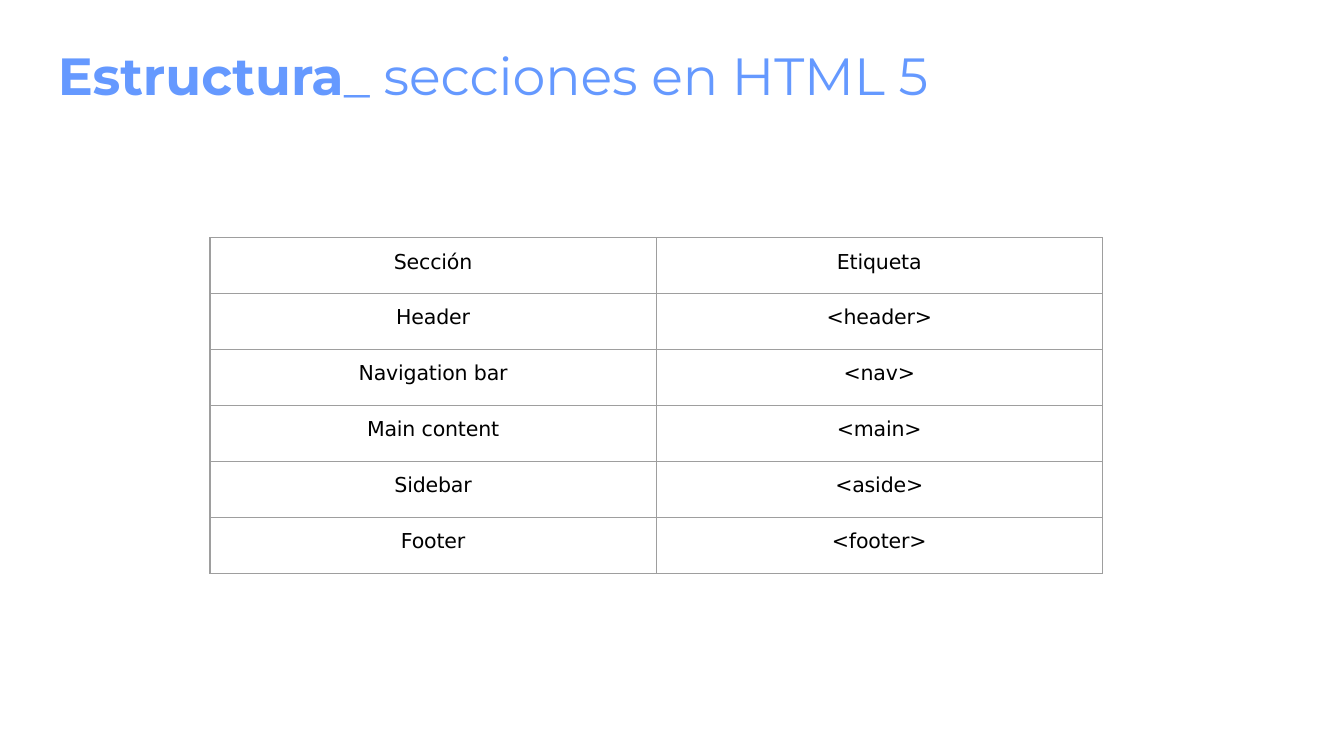
from dataclasses import dataclass

from lxml.etree import SubElement
from pptx import Presentation
from pptx.dml.color import RGBColor as Color
from pptx.enum.text import MSO_ANCHOR as Anchor, MSO_AUTO_SIZE as AutoSize, PP_ALIGN as Align
from pptx.oxml.ns import qn
from pptx.util import Inches, Pt


@dataclass(frozen=True)
class Theme:
    accent: str = "6599FF"
    ink: str = "000000"
    border: str = "9E9E9E"
    paper: str = "FFFFFF"
    heading_font: str = "Montserrat"
    table_font: str = "DejaVu Sans"
    heading_size: float = 28
    table_size: float = 11
    border_width: float = 0.75


def add_text(paragraph, text, *, font, size, color, bold=False, tracking=0):
    run = paragraph.add_run()
    run.text = text
    run.font.name = font
    run.font.size = Pt(size)
    run.font.bold = bold
    run.font.color.rgb = Color.from_string(color)
    if tracking:
        run.font._element.set("spc", str(round(tracking * 100)))


class SectionSlide:
    def __init__(self, deck, theme):
        self.theme = theme
        self.width, self.height = deck.slide_width, deck.slide_height
        self.slide = deck.slides.add_slide(deck.slide_layouts[5])
        background = self.slide.background.fill
        background.solid()
        background.fore_color.rgb = Color.from_string(theme.paper)

    def area(self, left, top, width, height):
        across, down = self.width / 100, self.height / 100
        return round(left * across), round(top * down), round(width * across), round(height * down)

    def heading(self, strong, light, area):
        title = self.slide.shapes.title
        title.left, title.top, title.width, title.height = self.area(*area)
        frame = title.text_frame
        frame.margin_left = frame.margin_top = Inches(0.01)
        frame.margin_right = frame.margin_bottom = 0
        frame.vertical_anchor = Anchor.TOP
        frame.word_wrap = True
        frame.auto_size = AutoSize.SHAPE_TO_FIT_TEXT
        line = frame.paragraphs[0]
        line.alignment = Align.LEFT
        line.space_before = Pt(1)
        for text, bold in ((strong, True), (light, False)):
            add_text(line, text, font=self.theme.heading_font, size=self.theme.heading_size,
                     color=self.theme.accent, bold=bold)

    def table(self, entries, area):
        frame = self.slide.shapes.add_table(len(entries), len(entries[0]), *self.area(*area))
        grid = frame.table
        grid.first_row = grid.horz_banding = False
        for row, texts in enumerate(entries):
            for column, text in enumerate(texts):
                self.fill_cell(grid.cell(row, column), text)

    def fill_cell(self, cell, text):
        cell.margin_left = cell.margin_right = cell.margin_bottom = 0
        cell.margin_top = Inches(0.09)
        cell.vertical_anchor = Anchor.TOP
        self.outline_cell(cell)
        cell.fill.background()
        line = cell.text_frame.paragraphs[0]
        line.alignment = Align.CENTER
        line.space_before = Pt(6.3)
        add_text(line, text, font=self.theme.table_font, size=self.theme.table_size,
                 color=self.theme.ink, tracking=-0.1)

    def outline_cell(self, cell):
        properties = cell._tc.get_or_add_tcPr()
        for side in ("lnL", "lnR", "lnT", "lnB"):
            edge = SubElement(properties, qn(f"a:{side}"), w=str(Pt(self.theme.border_width)))
            paint = SubElement(edge, qn("a:solidFill"))
            SubElement(paint, qn("a:srgbClr"), val=self.theme.border)


def main():
    deck = Presentation()
    deck.slide_width = Inches(10)
    deck.slide_height = deck.slide_width * 9 // 16
    sections = [
        ("Sección", "Etiqueta"),
        ("Header", "<header>"),
        ("Navigation bar", "<nav>"),
        ("Main content", "<main>"),
        ("Sidebar", "<aside>"),
        ("Footer", "<footer>"),
    ]
    page = SectionSlide(deck, Theme())
    page.heading("Estructura", "_ secciones en HTML 5", (4.2, 5.6, 82.5, 8.71))
    page.table(sections, (15.63, 31.47, 66.4, 44.35))
    deck.save("out.pptx")


if __name__ == "__main__":
    main()
